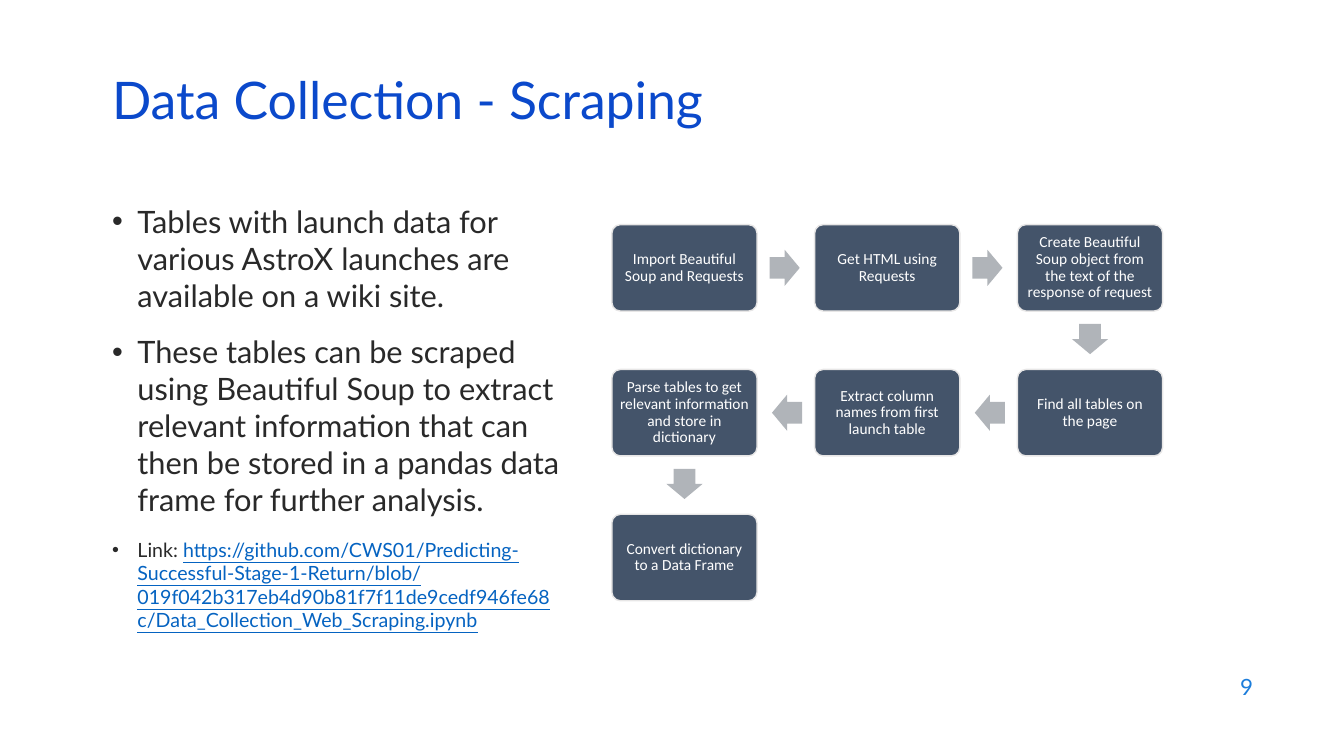
from pptx import Presentation
from pptx import util as u
from pptx.dml.color import RGBColor
from pptx.enum import shapes, text
from pptx.oxml.ns import qn
from lxml import etree

TITLE_BLUE = RGBColor(0x0B, 0x49, 0xCB)
NUMBER_BLUE = RGBColor(0x1C, 0x7D, 0xDB)
LINK_BLUE = RGBColor(0x05, 0x63, 0xC1)
BODY_INK = RGBColor(0x29, 0x29, 0x29)
STEP_FILL = RGBColor(0x44, 0x54, 0x6A)
STEP_LINE = RGBColor(0xE7, 0xE6, 0xE6)
ARROW_GREY = RGBColor(0xB0, 0xB4, 0xB9)
WHITE = RGBColor(0xFF, 0xFF, 0xFF)

LINK = ("https://github.com/CWS01/Predicting-Successful-Stage-1-Return/blob/"
        "019f042b317eb4d90b81f7f11de9cedf946fe68c/Data_Collection_Web_Scraping.ipynb")
BULLETS = [  # each bullet: runs of (text, format)
    [("Tables with launch data for various AstroX launches are available on a wiki site.", {})],
    [("These tables can be scraped using Beautiful Soup to extract relevant information "
      "that can then be stored in a pandas data frame for further analysis.", {})],
    [("Link: ", {"size": 14}), (LINK, {"size": 14, "color": LINK_BLUE, "underline": True})],
]
STEPS = [  # (column, row, text) in reading order of the flow
    (0, 0, "Import Beautiful Soup and Requests"),
    (1, 0, "Get HTML using Requests"),
    (2, 0, "Create Beautiful Soup object from the text of the response of request"),
    (2, 1, "Find all tables on the page"),
    (1, 1, "Extract column names from first launch table"),
    (0, 1, "Parse tables to get relevant information and store in dictionary"),
    (0, 2, "Convert dictionary to a Data Frame"),
]
ROTATION = {(1, 0): 0, (0, 1): 90, (-1, 0): 180}


def add_text(paragraph, content, size=22, color=BODY_INK, font="Lato", underline=None,
             align=text.PP_ALIGN.LEFT, line_spacing=None):
    """Append a formatted run to the paragraph."""
    paragraph.alignment = align
    if line_spacing:
        paragraph.line_spacing = line_spacing
    run = paragraph.add_run()
    run.text = content
    run.font.size, run.font.name = u.Pt(size), font
    run.font.color.rgb = color
    run.font.underline = underline


def place(shape, left, top, width, height):
    shape.left, shape.top = u.Cm(left), u.Cm(top)
    shape.width, shape.height = u.Cm(width), u.Cm(height)


def prepare_frame(shape, anchor):
    frame = shape.text_frame
    frame.word_wrap = True
    frame.auto_size = text.MSO_AUTO_SIZE.NONE
    frame.vertical_anchor = anchor
    return frame


def add_bullet(paragraph, indent):
    properties = paragraph._p.get_or_add_pPr()
    properties.set("marL", str(u.Cm(indent)))
    properties.set("indent", str(-u.Cm(indent)))
    etree.SubElement(properties, qn("a:buFont")).set("typeface", "Arial")
    etree.SubElement(properties, qn("a:buChar")).set("char", "•")


def build_title(slide, box):
    title = slide.shapes.title
    place(title, *box)
    frame = prepare_frame(title, text.MSO_ANCHOR.MIDDLE)
    add_text(frame.paragraphs[0], "Data Collection - Scraping", size=37,
             color=TITLE_BLUE, line_spacing=0.7)


def build_body(slide, box):
    body = slide.placeholders[1]
    place(body, *box)
    frame = prepare_frame(body, text.MSO_ANCHOR.TOP)
    for index, runs in enumerate(BULLETS):
        paragraph = frame.add_paragraph() if index else frame.paragraphs[0]
        add_bullet(paragraph, 0.64)
        paragraph.space_before = u.Pt(14 if index else 0)
        for content, style in runs:
            add_text(paragraph, content, **style)


def add_block(slide, preset, box, fill, adjustments):
    shape = slide.shapes.add_shape(preset, 0, 0, 0, 0)
    place(shape, *box)
    shape.shadow.inherit = False
    shape.fill.solid()
    shape.fill.fore_color.rgb = fill
    shape.line.fill.background()
    for index, value in enumerate(adjustments):
        shape.adjustments[index] = value
    return shape


def add_step(slide, box, content):
    step = add_block(slide, shapes.MSO_SHAPE.ROUNDED_RECTANGLE, box, STEP_FILL, [0.1])
    step.line.color.rgb, step.line.width = STEP_LINE, u.Pt(1)
    frame = prepare_frame(step, text.MSO_ANCHOR.MIDDLE)
    frame.margin_left = frame.margin_right = u.Cm(0.13)
    frame.margin_top = frame.margin_bottom = u.Cm(0.13)
    add_text(frame.paragraphs[0], content, size=11, color=WHITE, font="Calibri",
             align=text.PP_ALIGN.CENTER, line_spacing=0.9)


def build_flow(slide, box):
    left, top, width, height = box
    step_width, step_height = 3.66, 2.18
    arrow_width, arrow_height, setback = 0.76, 0.91, 0.03
    pitch_x, pitch_y = (width - step_width) / 2, (height - step_height) / 2

    # Steps on a grid of three columns and three rows
    for column, row, content in STEPS:
        add_step(slide, (left + column * pitch_x, top + row * pitch_y,
                         step_width, step_height), content)

    # Arrows halfway between consecutive steps
    for (column, row, _), (next_column, next_row, _) in zip(STEPS, STEPS[1:]):
        across, down = next_column - column, next_row - row
        center_x = left + step_width / 2 + (column + across / 2) * pitch_x - setback * across
        center_y = top + step_height / 2 + (row + down / 2) * pitch_y - setback * down
        arrow = add_block(slide, shapes.MSO_SHAPE.RIGHT_ARROW,
                          (center_x - arrow_width / 2, center_y - arrow_height / 2,
                           arrow_width, arrow_height), ARROW_GREY, [0.6, 0.5])
        arrow.rotation = ROTATION[across, down]


def build_number(slide, box):
    number = slide.shapes.add_textbox(0, 0, 0, 0)
    place(number, *box)
    frame = prepare_frame(number, text.MSO_ANCHOR.MIDDLE)
    add_text(frame.paragraphs[0], "9", size=16, color=NUMBER_BLUE,
             align=text.PP_ALIGN.RIGHT)


def main():
    presentation = Presentation()
    presentation.slide_width, presentation.slide_height = u.Cm(33.87), u.Cm(19.05)
    slide = presentation.slides.add_slide(presentation.slide_layouts[1])
    build_title(slide, (2.57, 1.93, 29.21, 1.52))
    build_body(slide, (2.57, 4.98, 11.79, 13.39))
    build_flow(slide, (15.42, 5.66, 13.88, 9.48))
    build_number(slide, (24.21, 16.74, 7.62, 1.12))
    presentation.save("out.pptx")


if __name__ == "__main__":
    main()
